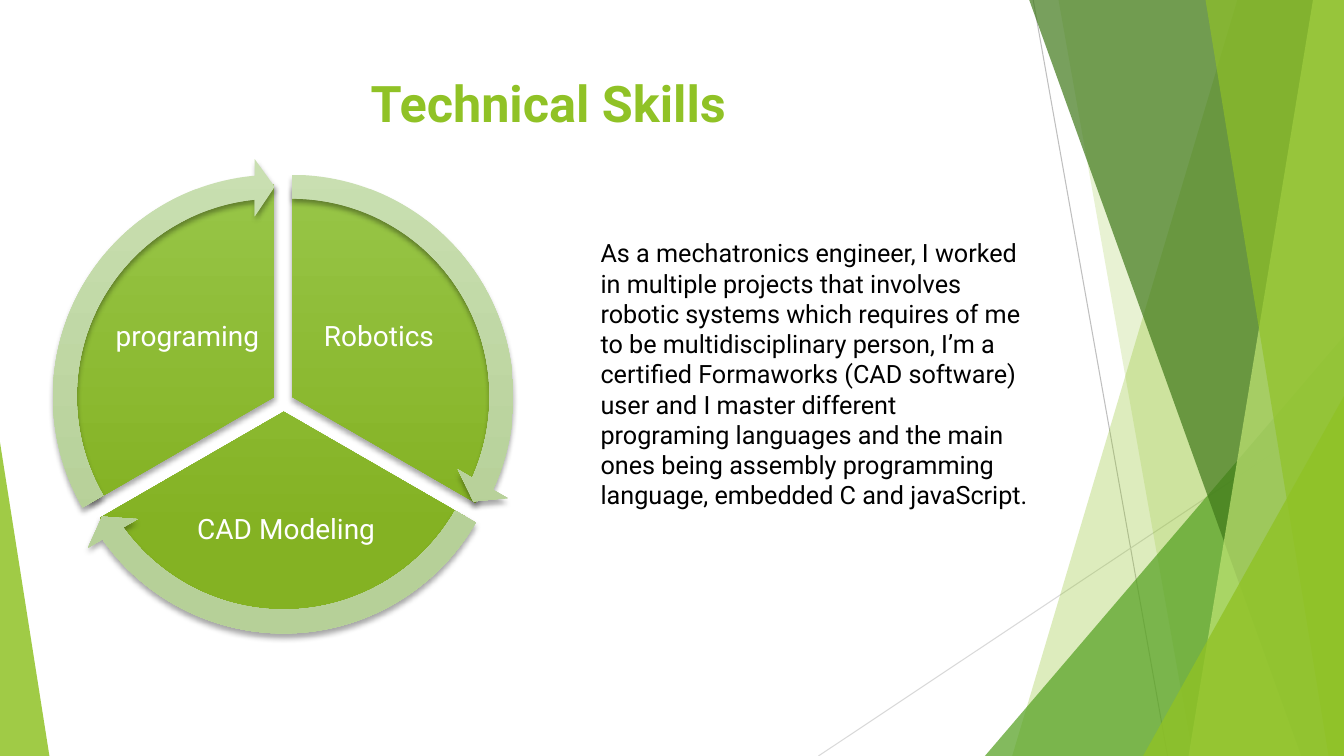
import dataclasses

import lxml.etree
import pptx
import pptx.dml.color
import pptx.enum.dml
import pptx.enum.shapes
import pptx.enum.text
import pptx.oxml
import pptx.oxml.ns
import pptx.util

Pt = pptx.util.Pt
Kind = pptx.enum.shapes.MSO_SHAPE
Align = pptx.enum.text.PP_ALIGN
Anchor = pptx.enum.text.MSO_ANCHOR
qn = pptx.oxml.ns.qn


@dataclasses.dataclass(frozen=True)
class Theme:
    """Colours and type sizes of the slide."""
    font: str = "Roboto"
    lime: str = "90C226"
    green: str = "54A021"
    forest: str = "3F7819"
    pale: str = "C0E474"
    white: str = "FFFFFF"
    black: str = "000000"
    gray: str = "BFBFBF"
    light_gray: str = "D9D9D9"
    wedge: tuple = ("97C547", "84B223")
    arrow: tuple = ("C9DFB1", "B6D098")
    title_size: int = 36
    label_size: int = 20
    body_size: int = 18


def rgb(code):
    """Turn a hex code into a colour."""
    return pptx.dml.color.RGBColor.from_string(code)


class Painter:
    """Draws styled elements on the current slide; lengths are in points."""

    def __init__(self, page, theme):
        """Keep the slide and its style."""
        self.page, self.theme = page, theme

    def line(self, start, end, color):
        """Draw a thin straight line."""
        line = self.page.shapes.add_connector(
            pptx.enum.shapes.MSO_CONNECTOR.STRAIGHT, *map(Pt, start + end))
        line.line.color.rgb = rgb(color)
        line.line.width = Pt(0.75)
        lxml.etree.SubElement(line._element.spPr, qn("a:effectLst"))

    def tint(self, shape, color, opacity):
        """Give a shape a translucent fill, no line and no shadow."""
        shape.shadow.inherit = False
        shape.line.fill.background()
        shape.fill.solid()
        shape.fill.fore_color.rgb = rgb(color)
        code = shape._element.spPr.find(".//" + qn("a:srgbClr"))
        lxml.etree.SubElement(code, qn("a:alpha"), val=str(opacity * 1000))

    def ribbon(self, top, bottom, color, opacity):
        """Fill the area from a slanted left edge to the right slide edge."""
        builder = self.page.shapes.build_freeform(Pt(top), Pt(-0.6))
        corners = [(960, -0.6), (960, 540), (bottom, 540)]
        builder.add_line_segments([(Pt(x), Pt(y)) for x, y in corners], close=True)
        self.tint(builder.convert_to_shape(), color, opacity)

    def triangle(self, left, top, width, apex, color, opacity):
        """Draw a triangle standing on the bottom slide edge."""
        shape = self.page.shapes.add_shape(
            Kind.ISOSCELES_TRIANGLE, Pt(left), Pt(top), Pt(width), Pt(540 - top))
        shape.adjustments[0] = apex
        self.tint(shape, color, opacity)

    def round_part(self, kind, center, size, adjustments, colors):
        """Draw a shaded circular part with a soft shadow."""
        x, y = center
        shape = self.page.shapes.add_shape(
            kind, Pt(x - size / 2), Pt(y - size / 2), Pt(size), Pt(size))
        for index, value in enumerate(adjustments):
            shape.adjustments[index] = value
        shape.line.fill.background()
        shape.fill.gradient()
        shape.fill.gradient_angle = 270
        for stop, color, position in zip(shape.fill.gradient_stops, colors, (0, 0.78)):
            stop.color.rgb = rgb(color)
            stop.position = position
        shape.shadow.inherit = False
        effects = shape._element.spPr.find(qn("a:effectLst"))
        shadow = lxml.etree.SubElement(
            effects, qn("a:outerShdw"), blurRad=str(Pt(4)), dist=str(Pt(3)),
            dir="5400000", rotWithShape="0")
        code = lxml.etree.SubElement(shadow, qn("a:srgbClr"), val=self.theme.black)
        lxml.etree.SubElement(code, qn("a:alpha"), val="35000")

    def text(self, area, words, size, color, align=Align.LEFT, bold=False, label=False):
        """Write one paragraph; a label is centred vertically with thin margins."""
        box = self.page.shapes.add_textbox(*map(Pt, area))
        frame = box.text_frame
        frame.word_wrap = True
        para = frame.paragraphs[0]
        para.alignment = align
        if label:
            frame.vertical_anchor = Anchor.MIDDLE
            frame.margin_left = frame.margin_right = Pt(2)
            frame.margin_top = frame.margin_bottom = Pt(2)
            para.line_spacing = 0.9
        span = para.add_run()
        span.text = words
        span.font.name, span.font.size = self.theme.font, Pt(size)
        span.font.bold, span.font.color.rgb = bold, rgb(color)


def draw_backdrop(painter):
    """Draw the green facets behind the content."""
    theme = painter.theme
    painter.line((738, 0), (834, 540), theme.gray)
    painter.line((960, 290), (584.6, 540), theme.light_gray)
    painter.ribbon(884, 723, theme.lime, 30)
    painter.ribbon(756, 852, theme.lime, 20)
    painter.triangle(703.5, 240, 256.5, 1, theme.green, 72)
    painter.ribbon(735, 929.5, theme.forest, 70)
    painter.ribbon(938, 849, theme.pale, 70)
    painter.ribbon(861, 949, theme.lime, 65)
    painter.triangle(816.5, 283, 143.5, 1, theme.lime, 80)
    painter.triangle(0, 316, 35.3, 0, theme.lime, 85)


def draw_cycle(painter):
    """Draw three labelled wedges, then the arrows running round them."""
    theme = painter.theme
    turn, third, head = 216, 72, 3.275  # angles in units of 100000/60000 degree
    skills = [
        ("Robotics", (208.4, 283.3), (216.7, 195.8, 108, 90)),
        ("CAD Modeling", (202.7, 294.1), (123.1, 339.1, 162.7, 79.2)),
        ("programing", (196.2, 283.3), (79.9, 195.8, 108, 90)),
    ]
    starts = [(162 + third * index) % turn for index in range(len(skills))]
    for (name, center, area), start in zip(skills, starts):
        end = (start + third) % turn
        painter.round_part(Kind.PIE, center, 303.1, (start, end), theme.wedge)
        painter.text(area, name, theme.label_size, theme.white, Align.CENTER, label=True)
    for (name, center, area), start in zip(skills, starts):
        tip = (start + third) % turn - head
        painter.round_part(Kind.CIRCULAR_ARROW, center, 340.6,
                           (0.05, head, tip, start, 0.06), theme.arrow)


def main():
    """Build and save the slide."""
    deck = pptx.Presentation()
    deck.slide_width, deck.slide_height = Pt(960), Pt(540)
    theme = Theme()
    painter = Painter(deck.slides.add_slide(deck.slide_layouts[6]), theme)
    draw_backdrop(painter)
    painter.text((53.3, 48.2, 676.8, 103.7), "Technical Skills",
                 theme.title_size, theme.lime, Align.CENTER, bold=True)
    draw_cycle(painter)
    painter.text(
        (421.9, 166.3, 319.7, 225.4),
        "As a mechatronics engineer, I worked in multiple projects that involves "
        "robotic systems which requires of me to be multidisciplinary person, I’m a "
        "certified Formaworks (CAD software) user and I master different programing "
        "languages and the main ones being assembly programming language, embedded C "
        "and javaScript.", theme.body_size, theme.black)
    deck.save("out.pptx")


main()
